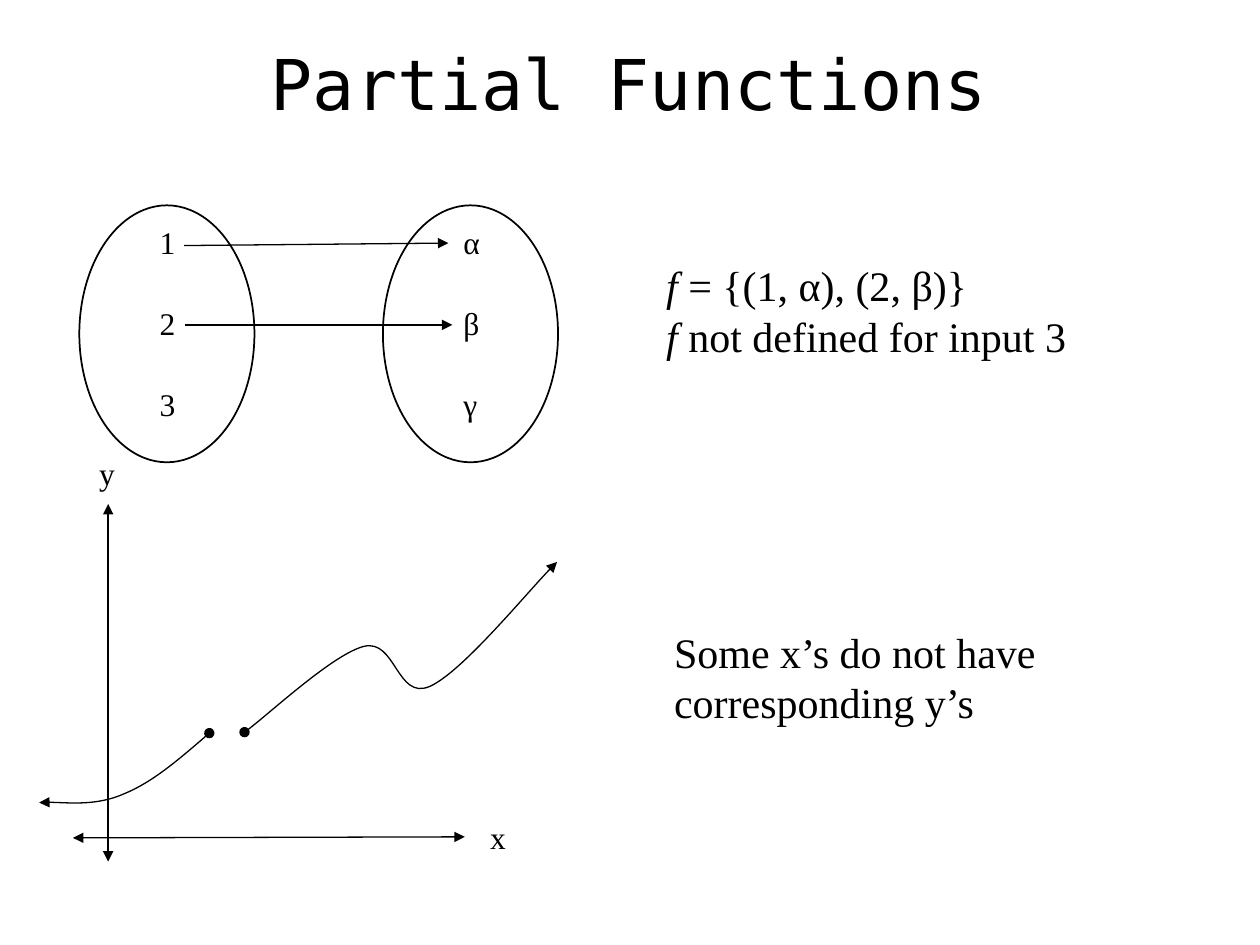
from pptx import Presentation
from pptx.dml.color import RGBColor
from pptx.enum.shapes import MSO_CONNECTOR, MSO_SHAPE
from pptx.enum.text import MSO_ANCHOR, PP_ALIGN
from pptx.oxml.ns import qn
from pptx.util import Cm, Pt
from lxml.etree import SubElement

COLORS = {"ink": "000000", "paper": "FFFFFF"}


class FunctionSlide:
    """Draws the elements of one slide in a shared style."""

    serif = "Times New Roman"
    mono = "DejaVu Sans Mono"

    def __init__(self, deck):
        self.slide = deck.slides.add_slide(deck.slide_layouts[5])
        self.shapes = self.slide.shapes
        fill = self.slide.background.fill
        fill.solid()
        fill.fore_color.rgb = RGBColor.from_string(COLORS["paper"])

    def style_font(self, run, size, face, italic=False):
        run.font.size = Pt(size)
        run.font.name = face
        run.font.italic = italic
        run.font.color.rgb = RGBColor.from_string(COLORS["ink"])

    def style_line(self, shape, width, head=None, tail=None):
        shape.line.color.rgb = RGBColor.from_string(COLORS["ink"])
        shape.line.width = Pt(width)
        outline = shape.line._get_or_add_ln()
        for end, kind in (("a:headEnd", head), ("a:tailEnd", tail)):
            if kind:
                SubElement(outline, qn(end), type=kind)

    def title(self, words, left, top, width, height):
        heading = self.slide.shapes.title
        heading.left, heading.top = Cm(left), Cm(top)
        heading.width, heading.height = Cm(width), Cm(height)
        frame = heading.text_frame
        frame.text = words
        frame.vertical_anchor = MSO_ANCHOR.MIDDLE
        frame.paragraphs[0].alignment = PP_ALIGN.CENTER
        self.style_font(frame.paragraphs[0].runs[0], 40, self.mono)

    def text(self, lines, left, top, width, height, size=24, wrap=True, parent=None):
        box = (parent or self.shapes).add_textbox(Cm(left), Cm(top), Cm(width), Cm(height))
        frame = box.text_frame
        frame.word_wrap = wrap
        for number, pieces in enumerate(lines):
            paragraph = frame.add_paragraph() if number else frame.paragraphs[0]
            for words, italic in pieces:
                run = paragraph.add_run()
                run.text = words
                self.style_font(run, size, self.serif, italic)

    def label(self, symbol, left, top, parent=None):
        self.text([[(symbol, False)]], left, top, 0.84, 1.02, 18, False, parent)

    def value_set(self, symbols, left, top):
        members = self.shapes.add_group_shape().shapes
        for row, symbol in enumerate(symbols):
            self.label(symbol, left + 1.37, top + 0.23 + 1.63 * row, members)
        oval = members.add_shape(MSO_SHAPE.OVAL, Cm(left), Cm(top), Cm(3.53), Cm(5.18))
        oval.shadow.inherit = False
        oval.fill.background()
        self.style_line(oval, 1)

    def arrow(self, start, end, head=None):
        ends = [Cm(value) for value in (*start, *end)]
        connector = self.shapes.add_connector(MSO_CONNECTOR.STRAIGHT, *ends)
        self.style_line(connector, 0.75, head, "triangle")
        SubElement(connector._element.spPr, qn("a:effectLst"))

    def curve(self, start, *controls):
        builder = self.shapes.build_freeform(Cm(start[0]), Cm(start[1]))
        builder.add_line_segments([(Cm(x), Cm(y)) for x, y in controls], close=False)
        graph = builder.convert_to_shape()
        graph.shadow.inherit = False
        graph.fill.background()
        self.style_line(graph, 0.75, "oval", "triangle")
        outline = next(graph._element.iter(qn("a:path")))
        segments = outline.findall(qn("a:lnTo"))
        for first in range(0, len(segments), 3):
            bend = SubElement(outline, qn("a:cubicBezTo"))
            for segment in segments[first:first + 3]:
                bend.append(segment[0])
                outline.remove(segment)


def main():
    deck = Presentation()
    deck.slide_width, deck.slide_height = Cm(25.4), Cm(19.05)
    page = FunctionSlide(deck)
    page.title("Partial Functions", 1.88, 0.46, 21.59, 2.41)

    page.value_set("123", 1.6, 4.14)
    page.value_set("αβγ", 7.72, 4.14)
    page.arrow((3.71, 4.95), (9.04, 4.9))
    page.arrow((3.73, 6.55), (9.12, 6.55))
    page.text(
        [[("f", True), (" = {(1, α), (2, β)}", False)],
         [("f", True), (" not defined for input 3", False)]],
        13.18, 5.11, 10.21, 2.31)

    page.arrow((2.18, 17.37), (2.18, 10.16), "triangle")
    page.arrow((1.47, 16.89), (9.37, 16.87), "triangle")
    page.curve((4.93, 14.76),
               (5.33, 14.48), (6.73, 13.18), (7.34, 13.03),
               (7.98, 12.88), (8, 14.12), (8.66, 13.84),
               (9.3, 13.56), (10.8, 11.73), (11.23, 11.33))
    page.curve((4.22, 14.78),
               (3.63, 15.29), (3.07, 15.77), (2.51, 16),
               (1.93, 16.26), (1.09, 16.15), (0.79, 16.18))
    page.text([[("Some x’s do not have corresponding y’s", False)]],
              13.34, 12.5, 10.97, 2.29)
    page.label("x", 9.63, 16.36)
    page.label("y", 1.75, 9.02)
    deck.save("out.pptx")


if __name__ == "__main__":
    main()
